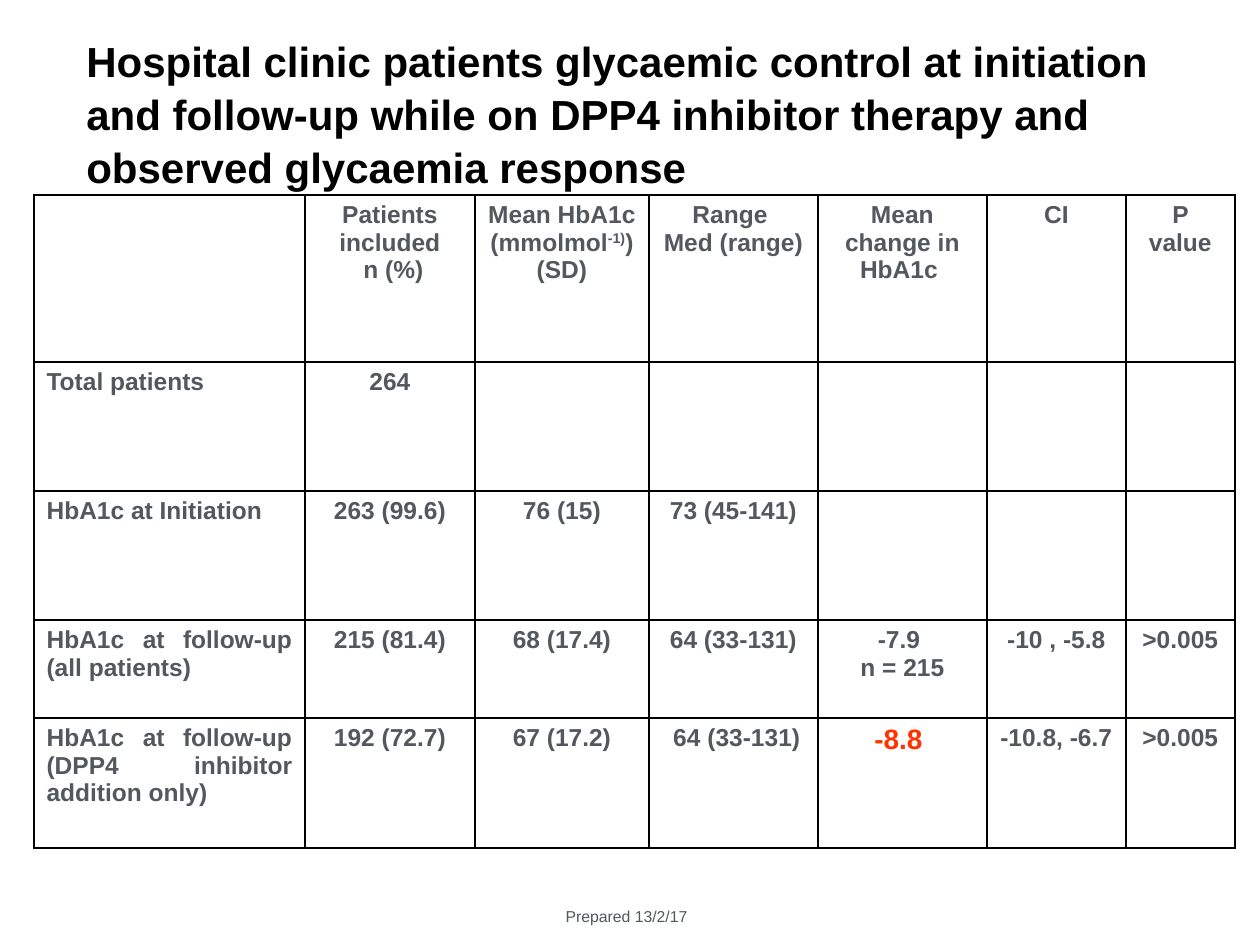
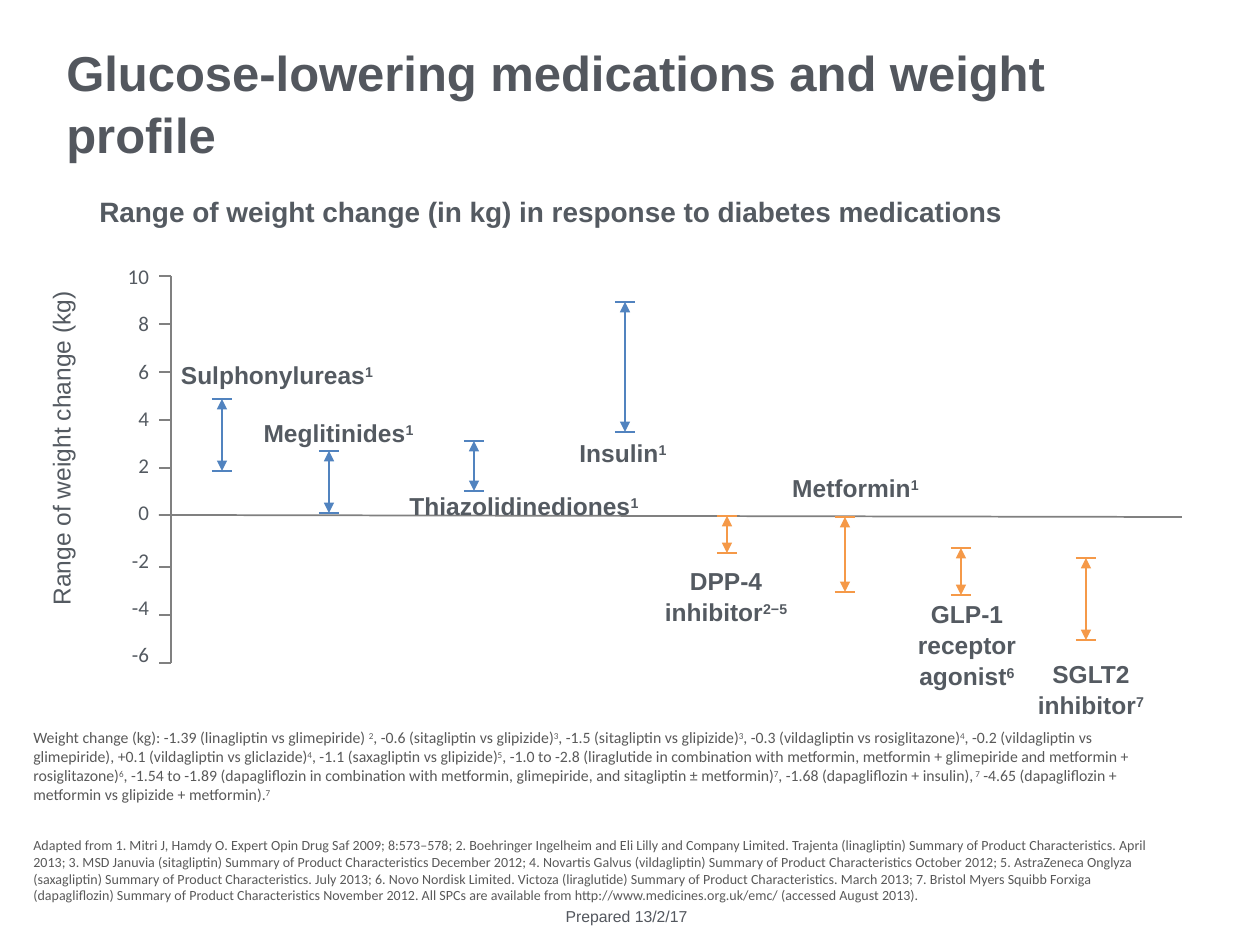
from lxml.etree import SubElement
from pptx import Presentation
from pptx.dml.color import RGBColor
from pptx.enum.shapes import MSO_CONNECTOR as Connector
from pptx.enum.text import MSO_ANCHOR as Anchor, PP_ALIGN as Align
from pptx.oxml.ns import qn
from pptx.util import Pt

EMU_PER_PX = 914400 / 126
BLACK, SLATE, GREY_TEXT, NOTE = "000000", "53575E", "545A61", "595959"
AXIS, GAIN, LOSS, HIGHLIGHT = "808080", "5183BF", "F59948", "FF3300"

COLUMN_WIDTHS = [271, 170, 174, 169, 169, 139, 109]
ROW_HEIGHTS = [167, 129, 129, 98, 130]
GLYCAEMIA_ROWS = [
    ["", "Patients included\n n (%)", "Mean HbA1c (mmolmol^-1)^) (SD)",
     "Range \nMed (range)", "Mean change in HbA1c ", "CI", "P value"],
    ["Total patients", "264", "", "", "", "", ""],
    ["HbA1c at Initiation", "263 (99.6)", "76 (15)", "73 (45-141)", "", "", ""],
    ["HbA1c at follow-up (all patients)", "215 (81.4)", "68 (17.4)", "64 (33-131)",
     "-7.9 \nn = 215", "-10 , -5.8", ">0.005"],
    ["HbA1c at follow-up (DPP4 inhibitor addition only)", "192 (72.7)", "67 (17.2)",
     " 64 (33-131)", "-8.8 ", "-10.8, -6.7", ">0.005"],
]

# Each entry: label, label box, then centre, top and bottom of the range, colour.
MEDICATIONS = [
    ("Sulphonylureas^1 ^", (156, 352, 246, 43), (222, 399, 471), GAIN),
    ("Meglitinides^1^", (246, 410, 185, 43), (329, 451, 513), GAIN),
    ("Thiazolidinediones^1^", (378, 483, 292, 43), (474, 441, 491), GAIN),
    ("Insulin^1^", (557, 430, 132, 43), (625, 302, 432), GAIN),
    ("DPP-4 inhibitor^2−5^", (648, 558, 156, 72), (727, 516, 553), LOSS),
    ("Metformin^1^", (769, 465, 173, 43), (845, 517, 592), LOSS),
    ("GLP-1 receptor agonist^6^", (888, 591, 158, 102), (961, 548, 595), LOSS),
    ("SGLT2 inhibitor^7^", (1012, 651, 158, 72), (1086, 558, 640), LOSS),
]

WEIGHT_NOTE = (
    "Weight change (kg): -1.39 (linagliptin vs glimepiride) ^2^, "
    "-0.6 (sitagliptin vs glipizide)^3^, -1.5 (sitagliptin vs glipizide)^3^, "
    "-0.3 (vildagliptin vs rosiglitazone)^4^, -0.2 (vildagliptin vs glimepiride), "
    "+0.1 (vildagliptin vs gliclazide)^4^, -1.1 (saxagliptin vs glipizide)^5^, "
    "-1.0 to -2.8 (liraglutide in combination with metformin, metformin + glimepiride "
    "and metformin + rosiglitazone)^6^, -1.54 to -1.89 (dapagliflozin in combination "
    "with metformin, glimepiride, and sitagliptin ± metformin)^7^, "
    "-1.68 (dapagliflozin + insulin),^ 7^ -4.65 (dapagliflozin + metformin vs "
    "glipizide + metformin).^7^")
REFERENCES = (
    "Adapted from 1. Mitri J, Hamdy O. Expert Opin Drug Saf 2009; 8:573–578; "
    "2. Boehringer Ingelheim and Eli Lilly and Company Limited. Trajenta (linagliptin) "
    "Summary of Product Characteristics. April 2013; 3. MSD Januvia (sitagliptin) "
    "Summary of Product Characteristics December 2012; 4. Novartis Galvus (vildagliptin) "
    "Summary of Product Characteristics October 2012; 5. AstraZeneca Onglyza "
    "(saxagliptin) Summary of Product Characteristics. July 2013; 6. Novo Nordisk "
    "Limited. Victoza (liraglutide) Summary of Product Characteristics. March 2013; "
    "7. Bristol Myers Squibb Forxiga (dapagliflozin) Summary of Product Characteristics "
    "November 2012. All SPCs are available from http://www.medicines.org.uk/emc/ "
    "(accessed August 2013).")


def px(length):
    """Turn pixels into EMU."""
    return round(length * EMU_PER_PX)


def colour(hex_code):
    """Turn a hex string into a colour."""
    return RGBColor.from_string(hex_code)


def write(frame, text, size=14, ink=GREY_TEXT, font="Arial", bold=False,
          align=Align.LEFT, spacing=None, after=None):
    """Fill a frame: newlines part paragraphs, carets enclose superscripts."""
    for index, content in enumerate(text.split("\n")):
        paragraph = frame.paragraphs[0] if index == 0 else frame.add_paragraph()
        paragraph.alignment = align
        paragraph.line_spacing = spacing
        paragraph.space_after = after
        for part, wording in enumerate(content.split("^")):
            if not wording:
                continue
            run = paragraph.add_run()
            run.text = wording
            run.font.name, run.font.size, run.font.bold = font, Pt(size), bold
            run.font.color.rgb = colour(ink)
            if part % 2:
                run._r.get_or_add_rPr().set("baseline", "30000")


def add_text(slide, box, text, anchor=Anchor.TOP, wrap=True, inset=True, turn=0,
             **style):
    """Place a text box and write in it."""
    label = slide.shapes.add_textbox(*map(px, box))
    label.rotation = turn
    frame = label.text_frame
    frame.word_wrap, frame.vertical_anchor = wrap, anchor
    if not inset:
        frame.margin_left = frame.margin_right = 0
        frame.margin_top = frame.margin_bottom = 0
    write(frame, text, **style)
    return frame


def add_line(slide, start, end, ink=AXIS, width=1, arrows=False):
    """Draw a straight line, with arrowheads at both ends if asked."""
    line = slide.shapes.add_connector(Connector.STRAIGHT, *map(px, (*start, *end)))
    line.line.color.rgb, line.line.width = colour(ink), Pt(width)
    if arrows:
        for tip in ("a:headEnd", "a:tailEnd"):
            SubElement(line.line._get_or_add_ln(), qn(tip), type="triangle")
    SubElement(line._element.spPr, qn("a:effectLst"))


def add_range(slide, centre, top, bottom, ink):
    """Draw a double arrow with a cap at each end."""
    add_line(slide, (centre, top), (centre, bottom), ink, 1.5, arrows=True)
    for level in (top, bottom):
        add_line(slide, (centre - 10, level), (centre + 10, level), ink, 1.5)


def outline_cell(cell):
    """Give a cell thin black borders and no fill."""
    properties = cell._tc.get_or_add_tcPr()
    for side in ("a:lnL", "a:lnR", "a:lnT", "a:lnB"):
        border = SubElement(properties, qn(side), w=str(Pt(1)))
        fill = SubElement(border, qn("a:solidFill"))
        SubElement(fill, qn("a:srgbClr"), val=BLACK)
    cell.fill.background()


def add_glycaemia_table(slide):
    """Build the table of glycaemic control."""
    table = slide.shapes.add_table(
        len(ROW_HEIGHTS), len(COLUMN_WIDTHS),
        *map(px, (34, 195, sum(COLUMN_WIDTHS), sum(ROW_HEIGHTS)))).table
    table.first_row = table.horz_banding = False
    for column, width in zip(table.columns, COLUMN_WIDTHS):
        column.width = px(width)
    for row, height, entries in zip(table.rows, ROW_HEIGHTS, GLYCAEMIA_ROWS):
        row.height = px(height)
        for index, (cell, entry) in enumerate(zip(row.cells, entries)):
            outline_cell(cell)
            key_result = entry == "-8.8 "
            write(cell.text_frame, entry, size=16 if key_result else 14,
                  ink=HIGHLIGHT if key_result else SLATE, bold=True,
                  align=Align.CENTER if index else Align.JUSTIFY)


def add_axes(slide):
    """Draw the weight axis with its ticks, numbers and zero line."""
    add_text(slide, (-183, 427, 489, 43), "Range of weight change (kg)", turn=270,
             align=Align.CENTER)
    numbers = "\n".join(str(value) for value in range(10, -7, -2))
    add_text(slide, (101, 273, 48, 401), numbers, inset=False, size=12, font="Calibri",
             align=Align.RIGHT, spacing=Pt(9), after=Pt(18))
    add_line(slide, (159, 515), (1182, 517))
    add_line(slide, (171, 276), (171, 663))
    for first, count in ((276, 5), (567, 3)):
        for step in range(count):
            level = first + 48 * step
            add_line(slide, (171, level), (159, level))


def add_slide(deck, title, box, **style):
    """Start a blank slide with the shared title style and footer."""
    slide = deck.slides.add_slide(deck.slide_layouts[6])
    add_text(slide, (553, 901, 147, 32), "Prepared 13/2/17", wrap=False, size=9,
             ink=SLATE, align=Align.CENTER)
    add_text(slide, box, title, bold=True, spacing=1.06, **style)
    return slide


def build_control_slide(deck):
    """Build the slide on glycaemic control."""
    slide = add_slide(
        deck, "Hospital clinic patients glycaemic control at initiation and follow-up "
        "while on DPP4 inhibitor therapy and observed glycaemia response",
        (74, 26, 1111, 214), size=24, ink=BLACK)
    add_glycaemia_table(slide)


def build_weight_slide(deck):
    """Build the slide on weight change."""
    slide = add_slide(deck, "Glucose-lowering medications and weight profile",
                      (54, 40, 1134, 122), size=28, ink=SLATE, anchor=Anchor.MIDDLE)
    add_text(slide, (78, 188, 946, 47),
             "Range of weight change (in kg) in response to diabetes medications",
             size=16, bold=True, align=Align.CENTER)
    add_axes(slide)
    for name, box, extent, ink in MEDICATIONS:
        add_text(slide, box, name, bold=True, align=Align.CENTER, spacing=1.06)
        add_range(slide, *extent, ink)
    add_text(slide, (21, 722, 1148, 89), WEIGHT_NOTE, size=9, ink=NOTE, font="Calibri")
    add_text(slide, (21, 813, 1161, 97), REFERENCES, anchor=Anchor.BOTTOM, size=8,
             ink=NOTE, font="Calibri")


def main():
    """Build and save the deck."""
    deck = Presentation()
    deck.slide_width, deck.slide_height = px(1260), px(945)
    build_control_slide(deck)
    build_weight_slide(deck)
    deck.save("out.pptx")


if __name__ == "__main__":
    main()
